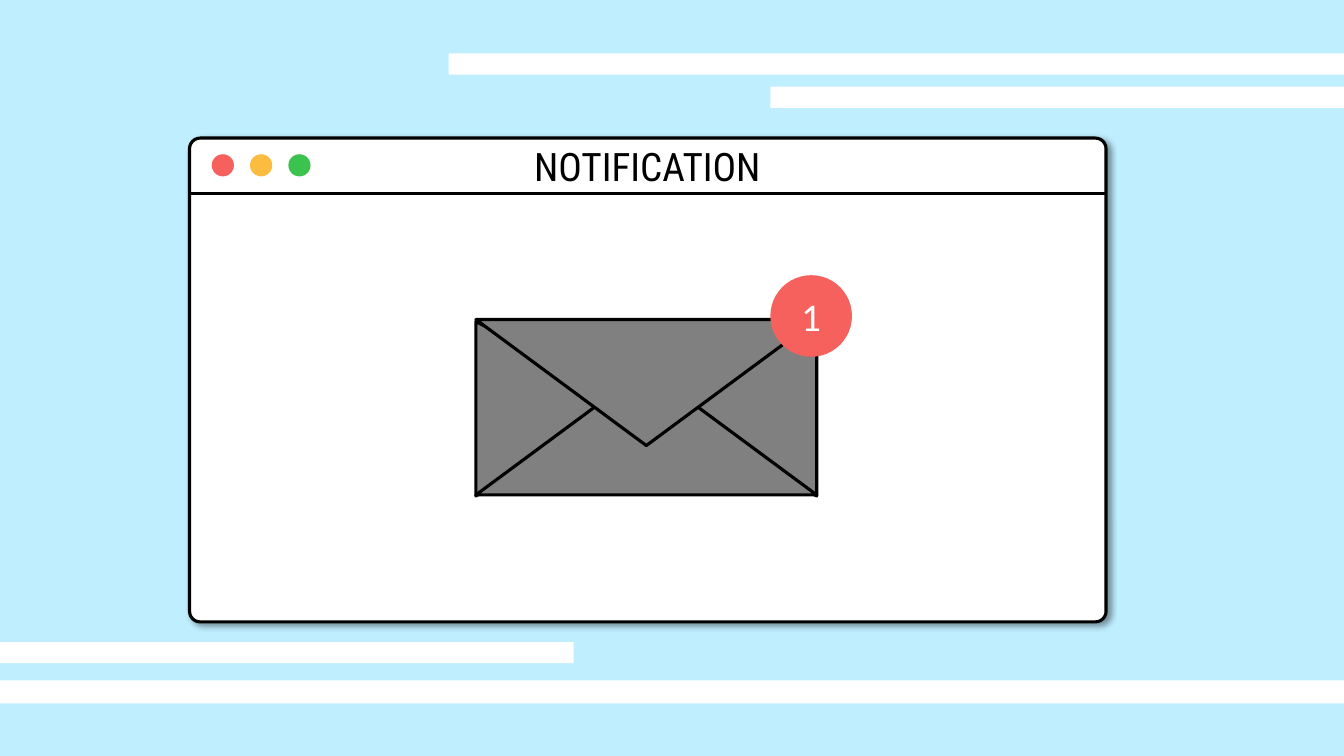
from dataclasses import dataclass

from lxml import etree
from pptx import Presentation
from pptx.dml.color import RGBColor
from pptx.enum.shapes import MSO_CONNECTOR, MSO_SHAPE
from pptx.enum.text import MSO_ANCHOR, PP_ALIGN
from pptx.oxml import parse_xml
from pptx.oxml.ns import nsdecls, qn
from pptx.shapes.autoshape import Shape
from pptx.slide import Slide
from pptx.text.text import TextFrame
from pptx.util import Inches, Pt

RECTANGLE = MSO_SHAPE.RECTANGLE
ROUNDED = MSO_SHAPE.ROUNDED_RECTANGLE
ELLIPSE = MSO_SHAPE.OVAL
TRIANGLE = MSO_SHAPE.ISOSCELES_TRIANGLE
STRAIGHT = MSO_CONNECTOR.STRAIGHT
CENTER = PP_ALIGN.CENTER
MIDDLE = MSO_ANCHOR.MIDDLE

SLIDE_WIDTH, SLIDE_HEIGHT = 13.33, 7.5
WINDOW_LEFT, WINDOW_TOP, WINDOW_WIDTH, WINDOW_HEIGHT = 1.88, 1.37, 9.09, 4.8
HEADER_LINE_TOP = 1.92
BUTTON_LEFT, BUTTON_TOP, BUTTON_SIZE, BUTTON_STEP = 2.1, 1.53, 0.22, 0.38
LINE_WIDTH = 2.25
TEXT_SIZE = 28

SKY = "BFEEFF"
WHITE = "FFFFFF"
BLACK = "000000"
RED = "F7615D"
YELLOW = "FCBC40"
GREEN = "3CC34F"
DARK_GREY = "595959"
GREY = "808080"


@dataclass(frozen=True)
class Piece:
    kind: MSO_SHAPE
    left: float
    top: float
    width: float
    height: float
    fill: str
    outlined: bool = False
    rotation: float = 0


WINDOW = Piece(ROUNDED, WINDOW_LEFT, WINDOW_TOP, WINDOW_WIDTH, WINDOW_HEIGHT, WHITE, True)
BUTTONS = [
    Piece(ELLIPSE, BUTTON_LEFT + index * BUTTON_STEP, BUTTON_TOP, BUTTON_SIZE, BUTTON_SIZE, fill)
    for index, fill in enumerate((RED, YELLOW, GREEN))
]
STRIPES = [
    Piece(RECTANGLE, 0, 6.75, SLIDE_WIDTH, 0.23, WHITE),
    Piece(RECTANGLE, 0, 6.37, 5.69, 0.21, WHITE),
    Piece(RECTANGLE, 7.64, 0.86, 5.69, 0.21, WHITE),
    Piece(RECTANGLE, 4.45, 0.53, 8.88, 0.21, WHITE),
]
ENVELOPE = [
    Piece(RECTANGLE, 4.94, 3.31, 2.92, 1.47, DARK_GREY, True),
    Piece(TRIANGLE, 6.39, 3.21, 1.73, 1.69, GREY, True, 270),
    Piece(TRIANGLE, 4.7, 3.21, 1.73, 1.69, GREY, True, 90),
    Piece(TRIANGLE, 4.72, 3.66, 3.38, 1.25, GREY, True),
    Piece(TRIANGLE, 4.72, 3.17, 3.38, 1.25, GREY, True, 180),
]
BADGE = Piece(ELLIPSE, 7.64, 2.73, 0.81, 0.81, RED)


def color(value: str) -> RGBColor:
    return RGBColor.from_string(value)


def draw_piece(page: Slide, piece: Piece) -> Shape:
    shape = page.shapes.add_shape(
        piece.kind, Inches(piece.left), Inches(piece.top), Inches(piece.width), Inches(piece.height)
    )
    shape.shadow.inherit = False
    shape.rotation = piece.rotation
    shape.fill.solid()
    shape.fill.fore_color.rgb = color(piece.fill)
    if piece.outlined:
        shape.line.color.rgb = color(BLACK)
        shape.line.width = Pt(LINE_WIDTH)
    else:
        shape.line.fill.background()
    return shape


def write_centered(frame: TextFrame, text: str, font_name: str, fill: str) -> None:
    frame.text = text
    frame.vertical_anchor = MIDDLE
    paragraph = frame.paragraphs[0]
    paragraph.alignment = CENTER
    paragraph.font.name = font_name
    paragraph.font.size = Pt(TEXT_SIZE)
    paragraph.font.color.rgb = color(fill)


def draw_window(page: Slide) -> None:
    window = draw_piece(page, WINDOW)
    window.adjustments[0] = 0.022
    effects = window._element.spPr.find(qn("a:effectLst"))
    effects.append(parse_xml(
        f'<a:outerShdw {nsdecls("a")} blurRad="{Pt(4)}" dist="{Pt(3)}" dir="{45 * 60000}" '
        f'algn="tl" rotWithShape="0"><a:srgbClr val="{BLACK}"><a:alpha val="40000"/>'
        "</a:srgbClr></a:outerShdw>"
    ))
    divider = page.shapes.add_connector(
        STRAIGHT, Inches(WINDOW_LEFT), Inches(HEADER_LINE_TOP),
        Inches(WINDOW_LEFT + WINDOW_WIDTH), Inches(HEADER_LINE_TOP),
    )
    divider.line.color.rgb = color(BLACK)
    divider.line.width = Pt(LINE_WIDTH)
    etree.SubElement(divider._element.spPr, qn("a:effectLst"))


def place_title(page: Slide) -> None:
    title = page.shapes.title
    title.left, title.top = Inches(3.49), Inches(1.36)
    title.width, title.height = Inches(5.86), Inches(0.57)
    write_centered(title.text_frame, "NOTIFICATION", "Roboto Condensed", BLACK)
    page.shapes._spTree.append(title._element)


def main() -> None:
    deck = Presentation()
    deck.slide_width, deck.slide_height = Inches(SLIDE_WIDTH), Inches(SLIDE_HEIGHT)
    page = deck.slides.add_slide(deck.slide_layouts.get_by_name("Title Only"))
    page.background.fill.solid()
    page.background.fill.fore_color.rgb = color(SKY)
    draw_window(page)
    for piece in BUTTONS + STRIPES:
        draw_piece(page, piece)
    place_title(page)
    for piece in ENVELOPE:
        draw_piece(page, piece)
    badge = draw_piece(page, BADGE)
    write_centered(badge.text_frame, "1", "Calibri", WHITE)
    deck.save("out.pptx")


if __name__ == "__main__":
    main()
